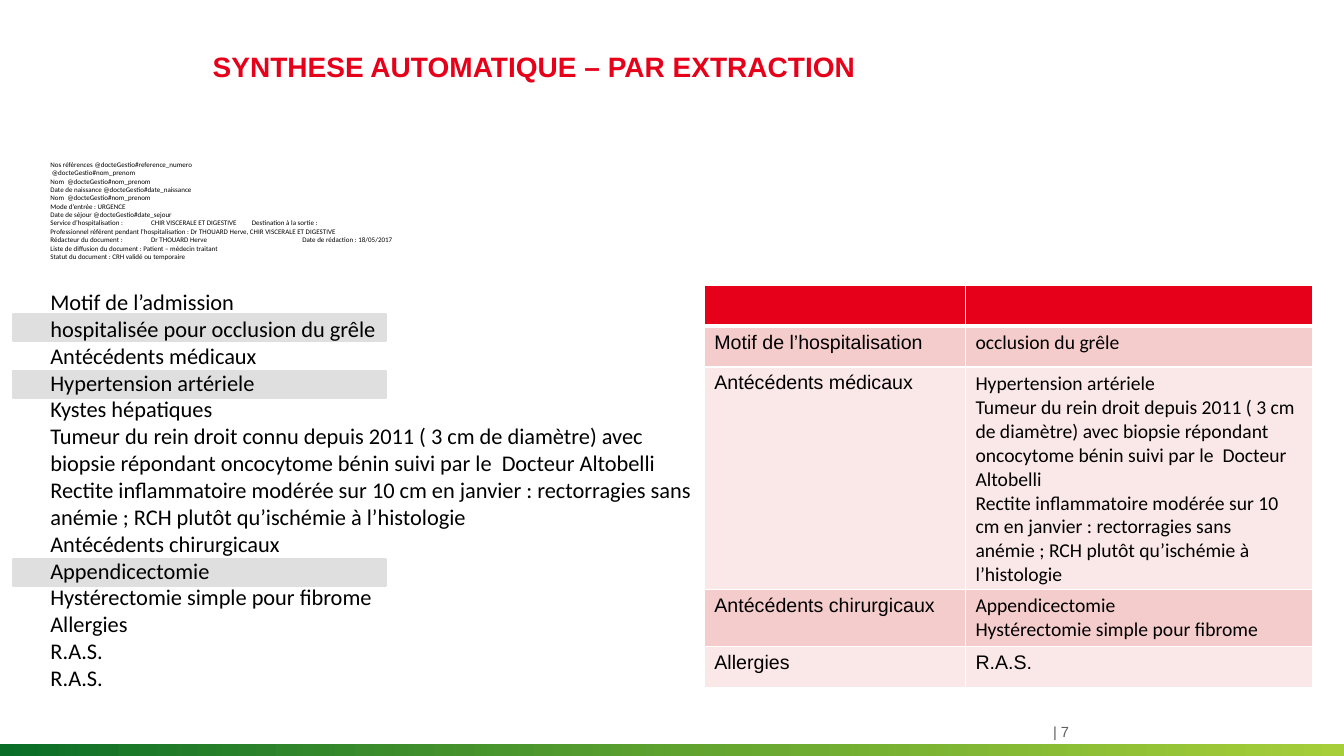
from dataclasses import dataclass

from lxml.etree import SubElement
from pptx import Presentation
from pptx.dml.color import RGBColor
from pptx.enum.shapes import MSO_SHAPE
from pptx.enum.text import MSO_ANCHOR
from pptx.oxml.ns import qn
from pptx.util import Cm, Pt


@dataclass(frozen=True)
class Theme:
    heading_font: str = "Arial"
    body_font: str = "Calibri"
    red: str = "E60019"
    black: str = "000000"
    grey: str = "5F5F5F"
    highlight: str = "DFDFDF"
    white: str = "FFFFFF"
    bands: tuple = ("F5CCCC", "FAE7E8")
    bar: tuple = ("0A6E28", "91C30A")
    title_size: float = 20
    report_size: float = 16
    table_size: float = 14
    number_size: float = 10.5
    header_size: float = 5


theme = Theme()


def write_text(text_frame, text, font_name, size, color):
    text_frame.text = text
    for paragraph in text_frame.paragraphs:
        for run in paragraph.runs:
            run.font.name = font_name
            run.font.size = Pt(size)
            run.font.color.rgb = RGBColor.from_string(color)


def add_text_frame(left, top, width, height, inset_x=0, inset_y=0):
    text_frame = slide.shapes.add_textbox(Cm(left), Cm(top), Cm(width), Cm(height)).text_frame
    text_frame.word_wrap = True
    text_frame.margin_left = text_frame.margin_right = Cm(inset_x)
    text_frame.margin_top = text_frame.margin_bottom = Cm(inset_y)
    return text_frame


presentation = Presentation()
presentation.slide_width = Cm(33.87)
presentation.slide_height = Cm(19.05)
slide = presentation.slides.add_slide(presentation.slide_layouts[6])

bar = slide.shapes.add_shape(MSO_SHAPE.RECTANGLE, Cm(0), Cm(18.75), Cm(33.87), Cm(0.3))
bar.shadow.inherit = False
bar.line.fill.background()
bar.fill.gradient()
bar.fill.gradient_angle = 0
for stop, color in zip(bar.fill.gradient_stops, theme.bar):
    stop.color.rgb = RGBColor.from_string(color)
last_color = bar._element.spPr.findall(".//" + qn("a:srgbClr"))[-1]
SubElement(last_color, qn("a:alpha"), val="80000")

page_number = add_text_frame(26.54, 18.21, 3.2, 0.46)
page_number.vertical_anchor = MSO_ANCHOR.MIDDLE
write_text(page_number, "| 7", theme.heading_font, theme.number_size, theme.grey)

title = add_text_frame(5.36, 0.58, 27.18, 2.16)
title.vertical_anchor = MSO_ANCHOR.MIDDLE
write_text(title, "SYNTHESE AUTOMATIQUE – PAR EXTRACTION", theme.heading_font, theme.title_size, theme.red)
title.paragraphs[0].space_after = Pt(4)
title.paragraphs[0].runs[0].font.bold = True

for top in (14.1, 9.35, 7.92):
    highlight = slide.shapes.add_shape(MSO_SHAPE.RECTANGLE, Cm(0.33), Cm(top), Cm(9.4), Cm(0.66))
    highlight.shadow.inherit = False
    highlight.fill.solid()
    highlight.fill.fore_color.rgb = RGBColor.from_string(theme.highlight)
    highlight.line.color.rgb = RGBColor.from_string(theme.highlight)
    highlight.line.width = Pt(2)

header_lines = [
    "Nos références @docteGestio#reference_numero",
    " @docteGestio#nom_prenom",
    "Nom  @docteGestio#nom_prenom",
    "Date de naissance @docteGestio#date_naissance",
    "Nom  @docteGestio#nom_prenom",
    "Mode d’entrée : URGENCE",
    "Date de séjour @docteGestio#date_sejour",
    "Service d’hospitalisation :\tCHIR VISCERALE ET DIGESTIVE\tDestination à la sortie :",
    "Professionnel référent pendant l’hospitalisation : Dr THOUARD Herve, CHIR VISCERALE ET DIGESTIVE",
    "Rédacteur du document :\tDr THOUARD Herve\t\tDate de rédaction : 18/05/2017",
    "Liste de diffusion du document : Patient – médecin traitant",
    "Statut du document : CRH validé ou temporaire",
]
inflammation = (
    "Rectite inflammatoire modérée sur 10 cm en janvier : rectorragies sans anémie ; "
    "RCH plutôt qu’ischémie à l’histologie"
)
report_lines = [
    "Motif de l’admission",
    "hospitalisée pour occlusion du grêle",
    "Antécédents médicaux",
    "Hypertension artériele",
    "Kystes hépatiques",
    "Tumeur du rein droit connu depuis 2011 ( 3 cm de diamètre) avec biopsie répondant "
    "oncocytome bénin suivi par le  Docteur Altobelli",
    inflammation,
    "Antécédents chirurgicaux",
    "Appendicectomie",
    "Hystérectomie simple pour fibrome",
    "Allergies",
    "R.A.S.",
    "R.A.S.",
]
report = add_text_frame(1.02, 3.91, 16.84, 13.77, 0.25, 0.13)
write_text(report, "\n".join(header_lines + report_lines), theme.body_font, theme.report_size, theme.black)
for paragraph in report.paragraphs[:len(header_lines)]:
    paragraph.runs[0].font.size = Pt(theme.header_size)
report.paragraphs[len(header_lines)].space_before = Pt(19.5)

history = "\n".join([
    "Hypertension artériele",
    "Tumeur du rein droit depuis 2011 ( 3 cm de diamètre) avec biopsie répondant "
    "oncocytome bénin suivi par le  Docteur Altobelli",
    inflammation,
])
summary_rows = [
    ("", "", theme.body_font, 1.03),
    ("Motif de l’hospitalisation", "occlusion du grêle", theme.body_font, 1.03),
    ("Antécédents médicaux", history, theme.body_font, 5.6),
    ("Antécédents chirurgicaux", "Appendicectomie\nHystérectomie simple pour fibrome", theme.body_font, 1.44),
    ("Allergies", "R.A.S.", theme.heading_font, 1.03),
]
table = slide.shapes.add_table(
    len(summary_rows), 2, Cm(17.75), Cm(7.19), Cm(15.32), Cm(10.13)
).table
table.columns[0].width = Cm(6.58)
table.columns[1].width = Cm(8.74)
for row_index, (label, value, value_font, height) in enumerate(summary_rows):
    table.rows[row_index].height = Cm(height)
    fill_color = theme.bands[(row_index - 1) % 2] if row_index else theme.red
    for column_index, (text, font_name) in enumerate([(label, theme.heading_font), (value, value_font)]):
        cell = table.cell(row_index, column_index)
        write_text(cell.text_frame, text, font_name, theme.table_size, theme.black)
        cell_properties = cell._tc.get_or_add_tcPr()
        for side in ("L", "R", "T", "B"):
            border_width = Pt(3) if row_index == 0 and side == "B" else Pt(1)
            border = SubElement(cell_properties, qn(f"a:ln{side}"), w=str(border_width))
            border_fill = SubElement(border, qn("a:solidFill"))
            SubElement(border_fill, qn("a:srgbClr"), val=theme.white)
        cell.fill.solid()
        cell.fill.fore_color.rgb = RGBColor.from_string(fill_color)

presentation.save("out.pptx")
